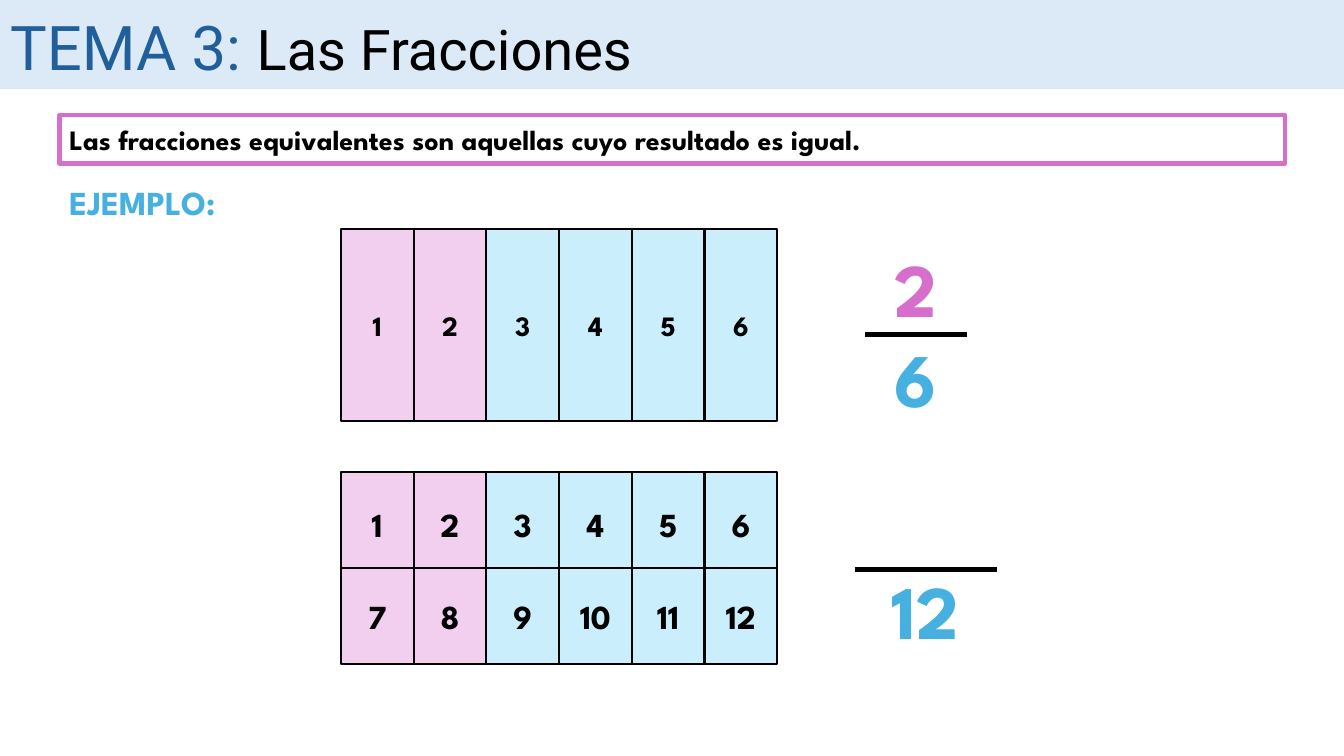
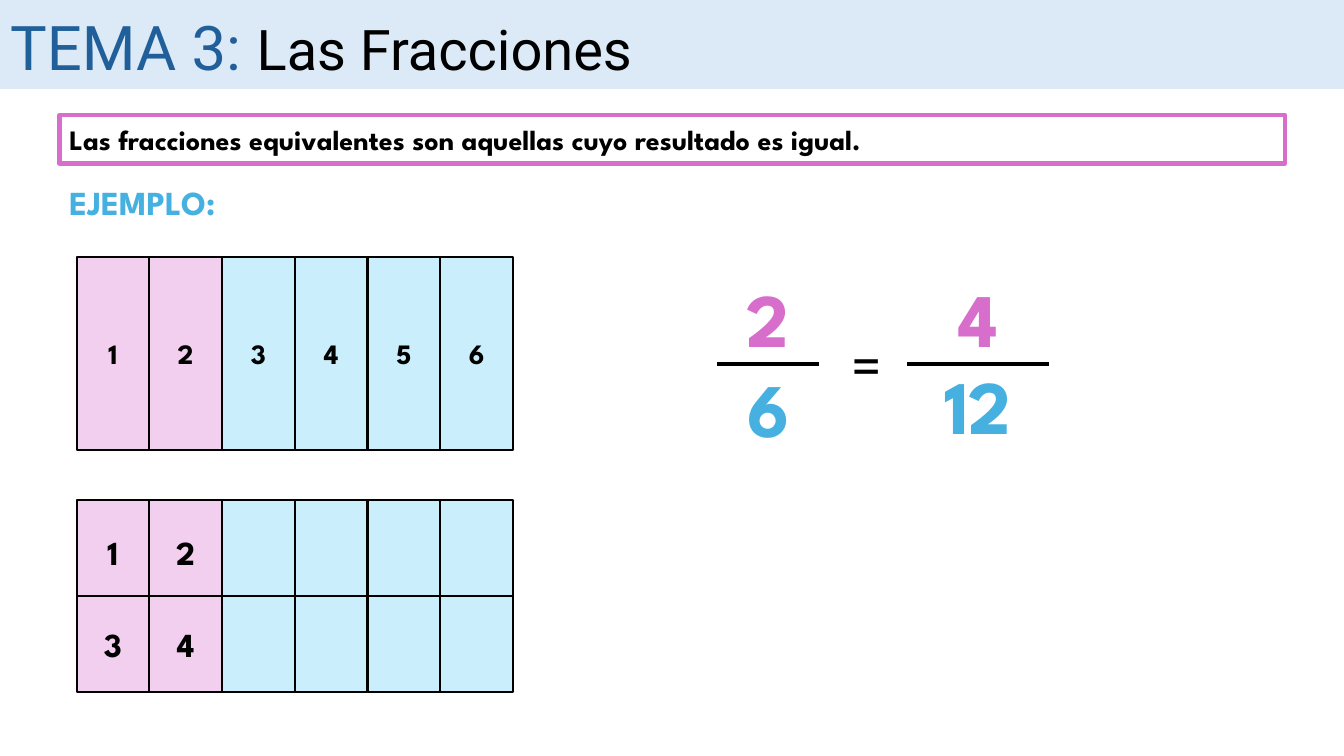
"""Build two slides that explain equivalent fractions with coloured strips."""
from dataclasses import dataclass
from typing import Any

from lxml.etree import SubElement
from pptx import Presentation
from pptx.dml.color import RGBColor
from pptx.enum.shapes import MSO_CONNECTOR, MSO_SHAPE
from pptx.enum.text import MSO_ANCHOR as Anchor
from pptx.enum.text import MSO_AUTO_SIZE as AutoSize
from pptx.enum.text import PP_ALIGN as Align
from pptx.oxml.ns import qn
from pptx.util import Cm, Pt


@dataclass(frozen=True)
class Theme:
    black: RGBColor = RGBColor(0x00, 0x00, 0x00)
    navy: RGBColor = RGBColor(0x21, 0x5F, 0x9A)
    band: RGBColor = RGBColor(0xDC, 0xEA, 0xF7)
    pink: RGBColor = RGBColor(0xD8, 0x6E, 0xCC)
    blue: RGBColor = RGBColor(0x46, 0xB1, 0xE1)
    pale_pink: RGBColor = RGBColor(0xF2, 0xCF, 0xEE)
    pale_blue: RGBColor = RGBColor(0xCA, 0xEE, 0xFB)
    title_font: str = "Roboto"
    body_font: str = "League Spartan"
    topic_size: int = 44
    title_size: int = 40
    fraction_size: int = 54
    large_size: int = 24
    body_size: int = 20
    thick_line: float = 3
    thin_line: float = 1.5


THEME = Theme()


@dataclass(frozen=True)
class Box:
    left: float
    top: float
    width: float
    height: float

    def lengths(self) -> tuple[Cm, Cm, Cm, Cm]:
        return Cm(self.left), Cm(self.top), Cm(self.width), Cm(self.height)


@dataclass(frozen=True)
class TextRun:
    text: str
    size: int
    color: RGBColor = THEME.black
    font: str = THEME.body_font
    bold: bool = True


@dataclass(frozen=True)
class Strip:
    rows: tuple[tuple[str, ...], ...]
    label_tops: tuple[float, ...]
    label_size: int


@dataclass(frozen=True)
class Fraction:
    numerator: str
    denominator: str
    left: float
    bar_top: float
    width: float
    denominator_rise: float


@dataclass(frozen=True)
class Lesson:
    strips_left: float
    strips_top: float
    strips: tuple[Strip, ...]
    fractions: tuple[Fraction, ...]
    equals_box: Box | None = None


SLIDE_WIDTH, SLIDE_HEIGHT = 33.87, 19.05
CELL_COUNT, SHADED_COUNT = 6, 2
CELL_WIDTH, CELL_HEIGHT = 11 / CELL_COUNT, 4.85
STRIP_STEP = 6.12
FRACTION_HEIGHT, NUMERATOR_RISE = 2.57, 2.45

BAND_BOX = Box(0, 0, SLIDE_WIDTH, 2.24)
TITLE_BOX = Box(0, 0.1, 30.1, 2.13)
DEFINITION_BOX = Box(1.5, 2.9, 30.88, 1.22)
EXAMPLE_BOX = Box(1.5, 4.47, 5.44, 1.27)

TITLE_RUNS = (
    TextRun("TEMA 3: ", THEME.topic_size, THEME.navy, THEME.title_font, False),
    TextRun("Las Fracciones", THEME.title_size, font=THEME.title_font, bold=False),
)
DEFINITION = TextRun(
    "Las fracciones equivalentes son aquellas cuyo resultado es igual.", THEME.body_size
)
EXAMPLE = TextRun("EJEMPLO:", THEME.large_size, THEME.blue)

SIX_PARTS = Strip((("1", "2", "3", "4", "5", "6"),), (1.88,), THEME.body_size)
HALF_TOPS = (0.69, 3.0)
TWELVE_PARTS = Strip(
    (("1", "2", "3", "4", "5", "6"), ("7", "8", "9", "10", "11", "12")),
    HALF_TOPS, THEME.large_size,
)
FOUR_PARTS = Strip((("1", "2"), ("3", "4")), HALF_TOPS, THEME.large_size)

LESSONS = (
    Lesson(
        8.59, 5.77, (SIX_PARTS, TWELVE_PARTS),
        (Fraction("2", "6", 21.79, 8.43, 2.57, 0.18),
         Fraction("", "12", 21.54, 14.35, 3.58, 0.27)),
    ),
    Lesson(
        1.93, 6.48, (SIX_PARTS, FOUR_PARTS),
        (Fraction("2", "6", 18.08, 9.17, 2.57, 0.18),
         Fraction("4", "12", 22.86, 9.17, 3.58, 0.25)),
        Box(21.06, 8.1, 1.57, 2.13),
    ),
)


def set_values(target: Any, values: dict[str, Any]) -> None:
    """Set every named attribute on the target."""
    for name, value in values.items():
        setattr(target, name, value)


def write_text(shape: Any, runs: tuple[TextRun, ...], align: Align = Align.LEFT,
               anchor: Anchor = Anchor.TOP, auto_size: AutoSize = AutoSize.SHAPE_TO_FIT_TEXT) -> None:
    """Write one paragraph of formatted runs into a shape."""
    frame = shape.text_frame
    set_values(frame, {"word_wrap": True, "auto_size": auto_size, "vertical_anchor": anchor})
    paragraph = frame.paragraphs[0]
    paragraph.alignment = align
    for text_run in runs:
        run = paragraph.add_run()
        run.text = text_run.text
        set_values(run.font, {"name": text_run.font, "size": Pt(text_run.size), "bold": text_run.bold})
        run.font.color.rgb = text_run.color


def add_label(shapes: Any, box: Box, run: TextRun, align: Align = Align.CENTER) -> None:
    """Add a text box that holds a single run."""
    write_text(shapes.add_textbox(*box.lengths()), (run,), align)


def add_rectangle(shapes: Any, box: Box, fill: RGBColor | None = None,
                  line: RGBColor | None = None, line_width: float = THEME.thin_line) -> Any:
    """Add a rectangle with an optional fill and outline."""
    rectangle = shapes.add_shape(MSO_SHAPE.RECTANGLE, *box.lengths())
    rectangle.shadow.inherit = False
    if fill is None:
        rectangle.fill.background()
    else:
        rectangle.fill.solid()
        rectangle.fill.fore_color.rgb = fill
    if line is None:
        rectangle.line.fill.background()
    else:
        rectangle.line.color.rgb = line
        rectangle.line.width = Pt(line_width)
    return rectangle


def add_rule(shapes: Any, left: float, top: float, width: float, line_width: float) -> Any:
    """Add a horizontal black line without a shadow."""
    rule = shapes.add_connector(
        MSO_CONNECTOR.STRAIGHT, Cm(left), Cm(top), Cm(left + width), Cm(top)
    )
    rule.line.color.rgb = THEME.black
    rule.line.width = Pt(line_width)
    SubElement(rule.element.spPr, qn("a:effectLst"))
    return rule


def add_strip(shapes: Any, strip: Strip, left: float, top: float) -> None:
    """Draw a strip of cells, its dividing line and its numbers."""
    cells = [
        add_rectangle(
            shapes, Box(left + column * CELL_WIDTH, top, CELL_WIDTH, CELL_HEIGHT),
            THEME.pale_pink if column < SHADED_COUNT else THEME.pale_blue, THEME.black,
        )
        for column in range(CELL_COUNT)
    ]
    if len(strip.rows) > 1:
        divider = add_rule(
            shapes, left, top + CELL_HEIGHT / 2, CELL_COUNT * CELL_WIDTH, THEME.thin_line
        )
        divider.begin_connect(cells[0], 1)
        divider.end_connect(cells[-1], 3)
    for labels, label_top in zip(strip.rows, strip.label_tops):
        for column, label in enumerate(labels):
            box = Box(left + column * CELL_WIDTH, top + label_top, CELL_WIDTH, 1.2)
            add_label(shapes, box, TextRun(label, strip.label_size))


def add_fraction(shapes: Any, fraction: Fraction) -> None:
    """Draw a fraction around its bar."""
    add_rule(shapes, fraction.left, fraction.bar_top, fraction.width, THEME.thick_line)
    parts = (
        (fraction.numerator, NUMERATOR_RISE, THEME.pink),
        (fraction.denominator, fraction.denominator_rise, THEME.blue),
    )
    for text, rise, color in parts:
        if text:
            box = Box(fraction.left, fraction.bar_top - rise, fraction.width, FRACTION_HEIGHT)
            add_label(shapes, box, TextRun(text, THEME.fraction_size, color))


def add_heading(slide: Any) -> None:
    """Draw the title band, the definition and the example heading."""
    title = slide.shapes.title
    band = add_rectangle(slide.shapes, BAND_BOX, THEME.band)
    title.element.addprevious(band.element)
    set_values(title, dict(zip(("left", "top", "width", "height"), TITLE_BOX.lengths())))
    write_text(title, TITLE_RUNS)
    definition = add_rectangle(
        slide.shapes, DEFINITION_BOX, line=THEME.pink, line_width=THEME.thick_line
    )
    write_text(definition, (DEFINITION,), anchor=Anchor.MIDDLE, auto_size=AutoSize.NONE)
    add_label(slide.shapes, EXAMPLE_BOX, EXAMPLE, Align.LEFT)


def add_lesson(presentation: Any, lesson: Lesson) -> None:
    """Add a slide with its strips and fractions."""
    slide = presentation.slides.add_slide(presentation.slide_layouts.get_by_name("Title Only"))
    add_heading(slide)
    for index, strip in enumerate(lesson.strips):
        add_strip(slide.shapes, strip, lesson.strips_left, lesson.strips_top + index * STRIP_STEP)
    shapes = slide.shapes
    if lesson.equals_box:
        shapes = slide.shapes.add_group_shape().shapes
        add_label(shapes, lesson.equals_box, TextRun("=", THEME.topic_size, bold=False))
    for fraction in lesson.fractions:
        add_fraction(shapes, fraction)


def main() -> None:
    """Build and save the presentation."""
    presentation = Presentation()
    set_values(presentation, {"slide_width": Cm(SLIDE_WIDTH), "slide_height": Cm(SLIDE_HEIGHT)})
    for lesson in LESSONS:
        add_lesson(presentation, lesson)
    presentation.save("out.pptx")


if __name__ == "__main__":
    main()
